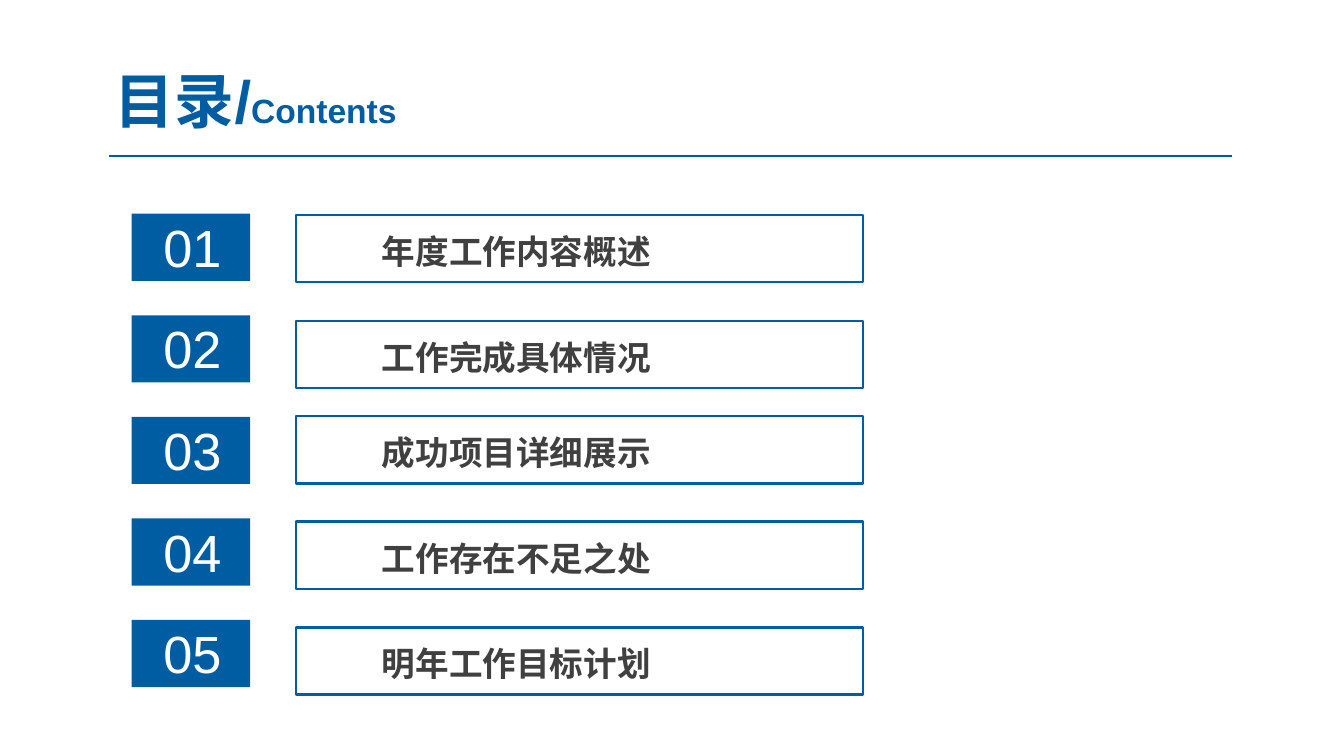
from lxml import etree
from pptx import Presentation
from pptx import util as u
from pptx.dml.color import RGBColor
from pptx.enum import shapes, text
from pptx.oxml import ns

BLUE = RGBColor(0x00, 0x5D, 0xA2)
RULE_BLUE = RGBColor(0x00, 0x5B, 0x9E)
GREY = RGBColor(0x40, 0x40, 0x40)
WHITE = RGBColor(0xFF, 0xFF, 0xFF)

TITLE_RUNS = [("目录/", 32), ("Contents", 18)]
CHAPTERS = [
    ("年度工作内容概述", 4.06),
    ("工作完成具体情况", 6.07),
    ("成功项目详细展示", 7.87),
    ("工作存在不足之处", 9.86),
    ("明年工作目标计划", 11.86),
]
BADGE_TOP, BADGE_PITCH = 4.04, 1.92
ROW_HEIGHT = 1.27
NUMBER_FORMAT = {"name": "Arial", "size": u.Pt(28), "bold": False}
CHAPTER_FORMAT = {"name": "Arial", "size": u.Pt(18), "bold": True}
SMALL_INSETS = {
    "margin_left": u.Cm(0.18), "margin_right": u.Cm(0.18),
    "margin_top": u.Cm(0.1), "margin_bottom": u.Cm(0.1),
}


def lengths(*values):
    return [u.Cm(value) for value in values]


def set_values(target, values):
    for name, value in values.items():
        setattr(target, name, value)


def add_run(paragraph, content, font_values, color):
    run = paragraph.add_run()
    run.text = content
    set_values(run.font, font_values)
    run.font.color.rgb = color


def add_text(group, content, box, font_values, color, frame_values):
    frame = group.shapes.add_textbox(*lengths(*box)).text_frame
    set_values(frame, {"word_wrap": True, **frame_values})
    add_run(frame.paragraphs[0], content, font_values, color)


def add_rectangle(group, *box):
    shape = group.shapes.add_shape(shapes.MSO_SHAPE.RECTANGLE, *lengths(*box))
    shape.shadow.inherit = False
    return shape


def add_title(slide):
    title = slide.shapes.title
    left, top, width, height = lengths(1.7, 1.19, 6.27, 1.37)
    set_values(title, {"left": left, "top": top, "width": width, "height": height})
    set_values(title.text_frame, {
        "word_wrap": True,
        "auto_size": text.MSO_AUTO_SIZE.NONE,
        "vertical_anchor": text.MSO_ANCHOR.MIDDLE,
    })
    paragraph = title.text_frame.paragraphs[0]
    set_values(paragraph, {"alignment": text.PP_ALIGN.CENTER, "space_before": u.Pt(0)})
    for content, size in TITLE_RUNS:
        add_run(paragraph, content, {"name": "Arial", "size": u.Pt(size), "bold": True}, BLUE)


def add_rule(slide):
    rule = slide.shapes.add_connector(
        shapes.MSO_CONNECTOR.STRAIGHT, *lengths(2.06, 2.95, 23.29, 2.95))
    rule.line.color.rgb = RULE_BLUE
    rule.line.width = u.Pt(0.75)
    etree.SubElement(rule._element.spPr, ns.qn("a:effectLst"))


def add_badge(slide, number, top):
    group = slide.shapes.add_group_shape()
    badge = add_rectangle(group, 2.49, top, 2.24, ROW_HEIGHT)
    badge.fill.solid()
    badge.fill.fore_color.rgb = BLUE
    badge.line.fill.background()
    add_text(group, f"{number:02}", (2.84, top - 0.1, 2.13, 1.45), NUMBER_FORMAT, WHITE, {})


def add_chapter(slide, name, top):
    group = slide.shapes.add_group_shape()
    add_text(group, name, (7.04, top + 0.2, 7.85, 0.97), CHAPTER_FORMAT, GREY, SMALL_INSETS)
    outline = add_rectangle(group, 5.59, top, 10.72, ROW_HEIGHT)
    outline.fill.background()
    outline.line.color.rgb = BLUE
    outline.line.width = u.Pt(1.25)


def main():
    presentation = Presentation()
    presentation.slide_width, presentation.slide_height = lengths(25.4, 14.29)
    slide = presentation.slides.add_slide(presentation.slide_layouts[5])
    add_title(slide)
    add_rule(slide)
    for index, (name, top) in enumerate(CHAPTERS):
        add_badge(slide, index + 1, BADGE_TOP + index * BADGE_PITCH)
        add_chapter(slide, name, top)
    presentation.save("out.pptx")


if __name__ == "__main__":
    main()
